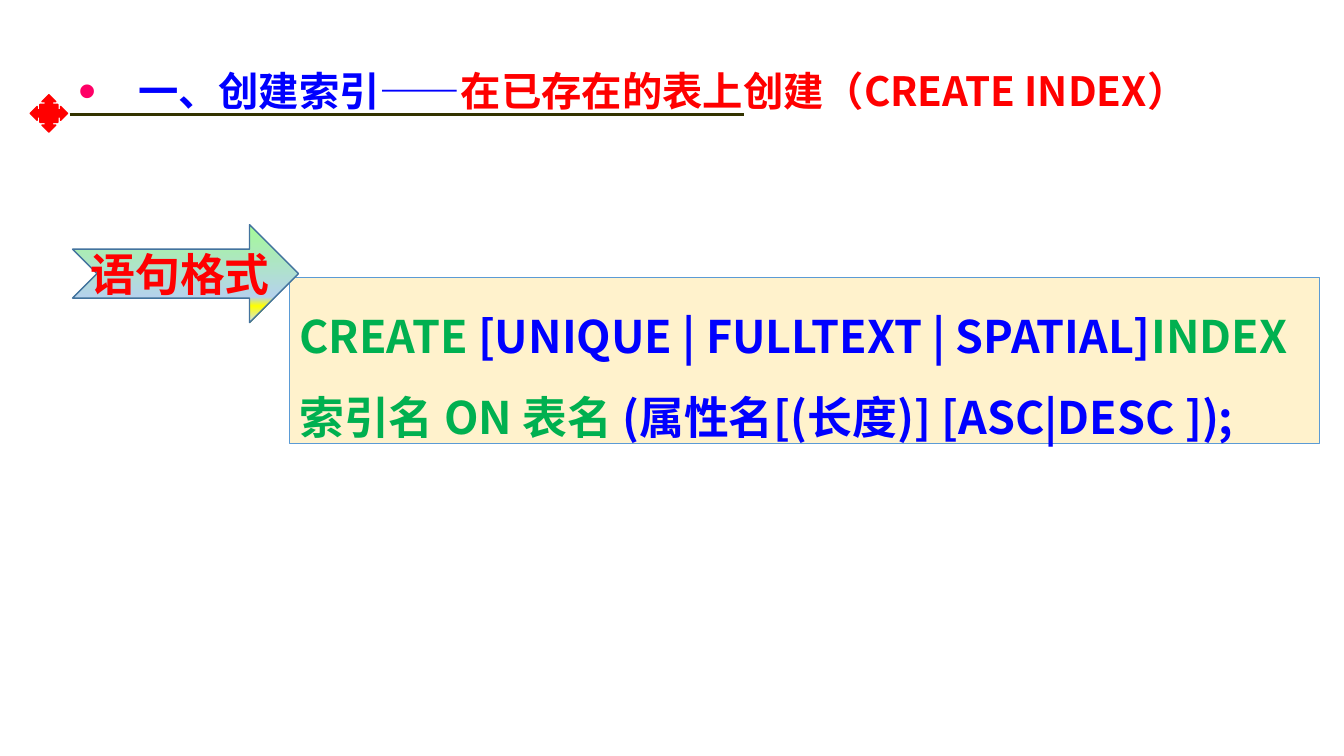
from pptx import Presentation
from pptx.dml.color import RGBColor
from pptx.enum.shapes import MSO_CONNECTOR, MSO_SHAPE
from pptx.enum.text import MSO_ANCHOR, PP_ALIGN
from pptx.oxml.ns import qn
from pptx.util import Inches, Pt
from lxml import etree

LINE = MSO_CONNECTOR.STRAIGHT
RECTANGLE = MSO_SHAPE.RECTANGLE
ORNAMENT = MSO_SHAPE.QUAD_ARROW_CALLOUT
ARROW = MSO_SHAPE.NOTCHED_RIGHT_ARROW
TOP, MIDDLE = MSO_ANCHOR.TOP, MSO_ANCHOR.MIDDLE
LEFT = PP_ALIGN.LEFT

RED = RGBColor(0xFF, 0x00, 0x00)
BLUE = RGBColor(0x00, 0x00, 0xFF)
GREEN = RGBColor(0x00, 0xB0, 0x50)
PINK = RGBColor(0xFF, 0x00, 0x66)
OLIVE = RGBColor(0x33, 0x33, 0x00)
CREAM = RGBColor(0xFF, 0xF2, 0xCC)
BOX_EDGE = RGBColor(0x5B, 0x9B, 0xD5)
ARROW_EDGE = RGBColor(0x43, 0x73, 0x9E)
ARROW_STOPS = [
    (0, RGBColor(0xA5, 0xFB, 0x97)),
    (74, RGBColor(0xB5, 0xD2, 0xEC)),
    (83, RGBColor(0xFF, 0xFF, 0x00)),
    (100, RGBColor(0xCE, 0xE1, 0xF2)),
]


class SlideBuilder:
    font = "Noto Sans CJK SC"

    def __init__(self, slide):
        self.slide = slide

    def fill_text(self, shape, runs, size, anchor=TOP, spacing=1.0, before=0):
        """Fill a shape with one bold paragraph of (text, colour) runs."""
        frame = shape.text_frame
        frame.word_wrap = True
        frame.vertical_anchor = anchor
        paragraph = frame.paragraphs[0]
        paragraph.alignment = LEFT
        paragraph.line_spacing = spacing
        paragraph.space_before = Pt(before)
        for text, color in runs:
            run = paragraph.add_run()
            run.text = text
            run.font.name = self.font
            run.font.size = Pt(size)
            run.font.bold = True
            run.font.color.rgb = color
            east_asian = etree.SubElement(run.font._element, qn("a:ea"))
            east_asian.set("typeface", self.font)
        return paragraph

    def text(self, left, top, width, height, runs, size, **layout):
        box = self.slide.shapes.add_textbox(
            Inches(left), Inches(top), Inches(width), Inches(height))
        return self.fill_text(box, runs, size, **layout)

    def bullet(self, paragraph, color, percent, indent):
        properties = paragraph._p.get_or_add_pPr()
        properties.set("marL", str(Inches(indent)))
        properties.set("indent", str(-Inches(indent)))
        bullet_color = etree.SubElement(properties, qn("a:buClr"))
        etree.SubElement(bullet_color, qn("a:srgbClr")).set("val", str(color))
        etree.SubElement(properties, qn("a:buSzPct")).set("val", str(percent * 1000))
        etree.SubElement(properties, qn("a:buFont")).set("typeface", "Arial")
        etree.SubElement(properties, qn("a:buChar")).set("char", "•")

    def shape(self, kind, left, top, width, height, edge, weight, fill=None):
        shape = self.slide.shapes.add_shape(
            kind, Inches(left), Inches(top), Inches(width), Inches(height))
        shape.shadow.inherit = False
        shape.line.color.rgb = edge
        shape.line.width = Pt(weight)
        if fill is not None:
            shape.fill.solid()
            shape.fill.fore_color.rgb = fill
        return shape

    def gradient(self, shape, stops, angle):
        shape.fill.gradient()
        gradient = shape._element.spPr.find(qn("a:gradFill"))
        stop_list = gradient.find(qn("a:gsLst"))
        for stop in list(stop_list):
            stop_list.remove(stop)
        for percent, color in stops:
            stop = etree.SubElement(stop_list, qn("a:gs"), pos=str(percent * 1000))
            etree.SubElement(stop, qn("a:srgbClr")).set("val", str(color))
        gradient.find(qn("a:lin")).set("ang", str(angle * 60000))

    def rule(self, left, right, y, color, weight):
        line = self.slide.shapes.add_connector(
            LINE, Inches(left), Inches(y), Inches(right), Inches(y))
        line.line.color.rgb = color
        line.line.width = Pt(weight)
        etree.SubElement(line._element.spPr, qn("a:effectLst"))


presentation = Presentation()
presentation.slide_width = Inches(13.33)
presentation.slide_height = Inches(7.5)
builder = SlideBuilder(presentation.slides.add_slide(presentation.slide_layouts[6]))

# Heading with its rule and ornament
heading = builder.text(
    0.68, 0.54, 12.25, 0.77,
    [(" 一、创建索引——", BLUE), ("在已存在的表上创建（CREATE INDEX）", RED)],
    28.8, anchor=MIDDLE, spacing=0.9)
builder.bullet(heading, PINK, percent=125, indent=0.5)
builder.rule(0.69, 7.38, 1.14, OLIVE, 2)
builder.shape(ORNAMENT, 0.3, 0.94, 0.37, 0.37, RED, 1, RED)

# Statement syntax
syntax_box = builder.shape(RECTANGLE, 2.87, 2.75, 10.22, 1.65, BOX_EDGE, 0.75, CREAM)
builder.fill_text(
    syntax_box,
    [("CREATE ", GREEN), ("[UNIQUE | FULLTEXT | SPATIAL]", BLUE),
     ("INDEX 索引名 ON 表名", GREEN), (" (属性名[(长度)] [ASC|DESC ]);", BLUE)],
    32, spacing=1.5, before=10)

# Arrow label
arrow = builder.shape(ARROW, 0.72, 2.23, 2.24, 0.97, ARROW_EDGE, 1)
builder.gradient(arrow, ARROW_STOPS, angle=90)
builder.text(0.8, 2.4, 2.06, 0.64, [("语句格式", RED)], 32)

presentation.save("out.pptx")
